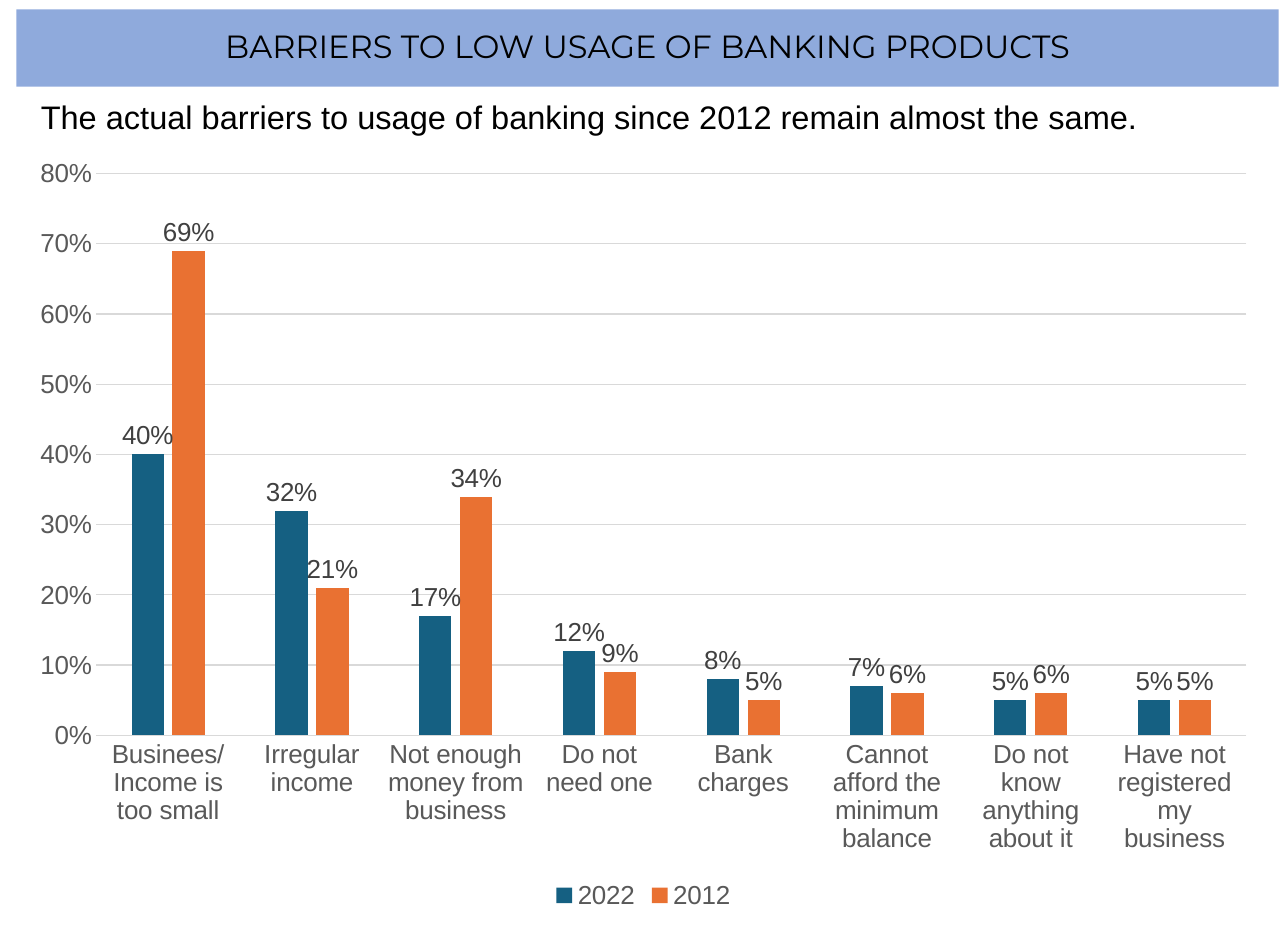
from pptx import Presentation
from pptx import util as u
from pptx.chart import data
from pptx.dml.color import RGBColor
from pptx.enum import chart as charts, text

BANNER_BLUE = RGBColor(0x8F, 0xAA, 0xDC)
BLACK = RGBColor(0, 0, 0)
AXIS_GREY = RGBColor(0x59, 0x59, 0x59)
LABEL_GREY = RGBColor(0x40, 0x40, 0x40)
GRID_GREY = RGBColor(0xD9, 0xD9, 0xD9)
SERIES_COLORS = {
    "2022": RGBColor(0x15, 0x60, 0x82),
    "2012": RGBColor(0xE9, 0x71, 0x32),
}
BARRIERS = [
    ("Businees/Income is too small", 0.40, 0.69),
    ("Irregular income", 0.32, 0.21),
    ("Not enough money from business", 0.17, 0.34),
    ("Do not need one", 0.12, 0.09),
    ("Bank charges", 0.08, 0.05),
    ("Cannot afford the minimum balance", 0.07, 0.06),
    ("Do not know anything about it", 0.05, 0.06),
    ("Have not registered my business", 0.05, 0.05),
]


def style_font(font, size, color, name="Arial"):
    """Set the size, colour and typeface of a font."""
    font.size = u.Pt(size)
    font.color.rgb = color
    font.name = name


def style_line(line):
    """Draw a thin grey rule."""
    line.color.rgb = GRID_GREY
    line.width = u.Pt(0.75)


def add_banner(page, box, wording):
    """Turn the title placeholder into a filled banner."""
    banner = page.shapes.title
    banner.left, banner.top, banner.width, banner.height = map(u.Inches, box)
    banner.fill.solid()
    banner.fill.fore_color.rgb = BANNER_BLUE
    frame = banner.text_frame
    frame.word_wrap = True
    frame.auto_size = text.MSO_AUTO_SIZE.NONE
    frame.vertical_anchor = text.MSO_ANCHOR.MIDDLE
    frame.margin_left = frame.margin_right = u.Inches(0.08)
    frame.margin_top = frame.margin_bottom = u.Inches(0.04)
    para = frame.paragraphs[0]
    para.alignment = text.PP_ALIGN.CENTER
    para.line_spacing = 0.9
    span = para.add_run()
    span.text = wording
    style_font(span.font, 19.7, BLACK, "Montserrat")


def add_message(page, box, wording):
    """Place the key message under the banner."""
    frame = page.shapes.add_textbox(*map(u.Inches, box)).text_frame
    frame.word_wrap = True
    frame.auto_size = text.MSO_AUTO_SIZE.SHAPE_TO_FIT_TEXT
    span = frame.paragraphs[0].add_run()
    span.text = wording
    style_font(span.font, 20, BLACK)


def style_axes(chart):
    """Format both axes and the gridlines."""
    for axis in (chart.category_axis, chart.value_axis):
        axis.major_tick_mark = axis.minor_tick_mark = charts.XL_TICK_MARK.NONE
        style_font(axis.tick_labels.font, 16, AXIS_GREY)
    style_line(chart.category_axis.format.line)
    values = chart.value_axis
    values.minimum_scale, values.maximum_scale, values.major_unit = 0, 0.8, 0.1
    values.tick_labels.number_format = "0%"
    values.tick_labels.number_format_is_linked = False
    values.format.line.fill.background()
    values.has_major_gridlines = True
    style_line(values.major_gridlines.format.line)


def style_series(series):
    """Colour one year's columns and label their values."""
    series.format.fill.solid()
    series.format.fill.fore_color.rgb = SERIES_COLORS[series.name]
    series.invert_if_negative = False
    labels = series.data_labels
    labels.show_value = True
    labels.number_format = "0%"
    labels.number_format_is_linked = False
    labels.position = charts.XL_LABEL_POSITION.OUTSIDE_END
    style_font(labels.font, 16, LABEL_GREY)


def add_barrier_chart(page, box):
    """Place the clustered columns comparing the two years."""
    names, *year_values = zip(*BARRIERS)
    table = data.CategoryChartData(number_format="0%")
    table.categories = names
    for year, values in zip(SERIES_COLORS, year_values):
        table.add_series(year, values)
    chart = page.shapes.add_chart(
        charts.XL_CHART_TYPE.COLUMN_CLUSTERED, *map(u.Inches, box), table
    ).chart
    style_font(chart.font, 16, BLACK)
    chart.has_title = False
    chart.has_legend = True
    chart.legend.position = charts.XL_LEGEND_POSITION.BOTTOM
    chart.legend.include_in_layout = False
    style_font(chart.legend.font, 16, AXIS_GREY)
    plot = chart.plots[0]
    plot.gap_width, plot.overlap = 219, -27
    plot.vary_by_categories = False
    for series in plot.series:
        style_series(series)
    style_axes(chart)


def main():
    """Build and save the slide."""
    deck = Presentation()
    deck.slide_width, deck.slide_height = u.Inches(11), u.Inches(8)
    page = deck.slides.add_slide(deck.slide_layouts.get_by_name("Title Only"))
    add_barrier_chart(page, (0.13, 1.23, 10.73, 6.58))
    add_banner(page, (0.14, 0.08, 10.78, 0.66),
               "BARRIERS TO LOW USAGE OF BANKING PRODUCTS")
    add_message(page, (0.25, 0.78, 10.33, 0.44),
                "The actual barriers to usage of banking since 2012 remain almost the same.")
    deck.save("out.pptx")


if __name__ == "__main__":
    main()
